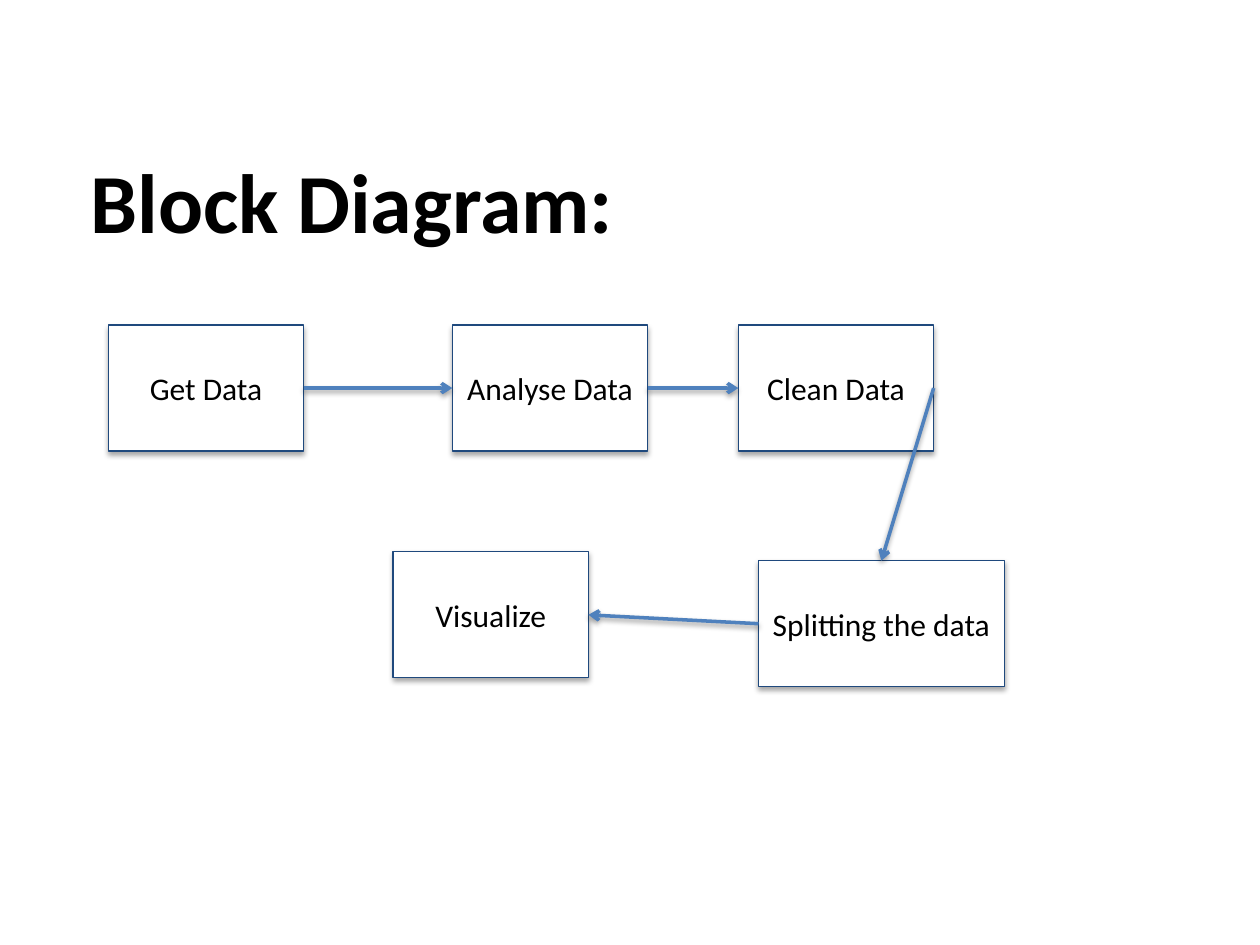
import pptx
import pptx.dml.color
import pptx.enum.shapes
import pptx.enum.text
import pptx.oxml
import pptx.oxml.ns
import pptx.util
from lxml import etree

COLORS = {"text": "000000", "box": "FFFFFF", "outline": "1F497D",
          "arrow": "4F81BD", "shadow": "000000"}
rgb = {name: pptx.dml.color.RGBColor.from_string(value) for name, value in COLORS.items()}

presentation = pptx.Presentation()
presentation.slide_width = pptx.util.Inches(10)
presentation.slide_height = pptx.util.Inches(7.5)
slide = presentation.slides.add_slide(presentation.slide_layouts[6])

# The slide is a grid of 100 columns by 75 rows with square cells.
CELL = presentation.slide_width // 100
BOX_HEIGHT = 10


def add_shadow(shape, opacity, distance):
    """Give a shape or connector a soft shadow straight below it; call after setting its line."""
    effects = pptx.oxml.parse_xml(
        f'<a:effectLst {pptx.oxml.ns.nsdecls("a")}>'
        f'<a:outerShdw blurRad="{pptx.util.Pt(3.1)}" dist="{pptx.util.Pt(distance)}"'
        ' dir="5400000" rotWithShape="0">'
        f'<a:srgbClr val="{COLORS["shadow"]}"><a:alpha val="{opacity * 1000}"/></a:srgbClr>'
        '</a:outerShdw></a:effectLst>')
    shape._element.spPr.append(effects)


def write_text(shape, text, alignment, font_format):
    frame = shape.text_frame
    frame.word_wrap = True
    frame.vertical_anchor = pptx.enum.text.MSO_ANCHOR.MIDDLE
    paragraph = frame.paragraphs[0]
    paragraph.alignment = alignment
    run = paragraph.add_run()
    run.text = text
    run.font.color.rgb = rgb["text"]
    for name, value in font_format.items():
        setattr(run.font, name, value)


title = slide.shapes.add_textbox(*[round(cells * CELL) for cells in (6.2, 7.8, 85, 16.1)])
write_text(title, "Block Diagram:", pptx.enum.text.PP_ALIGN.LEFT,
           {"name": "Calibri", "size": pptx.util.Pt(48), "bold": True})

# Step name, left column, top row, width in columns
steps = [
    ("Get Data", 8.6, 25.8, 15.5),
    ("Analyse Data", 35.9, 25.8, 15.5),
    ("Clean Data", 58.6, 25.8, 15.5),
    ("Splitting the data", 60.2, 44.5, 19.5),
    ("Visualize", 31.2, 43.8, 15.5),
]
boxes = []
for name, column, row, width in steps:
    box = slide.shapes.add_shape(
        pptx.enum.shapes.MSO_SHAPE.RECTANGLE,
        *[round(cells * CELL) for cells in (column, row, width, BOX_HEIGHT)])
    box.fill.solid()
    box.fill.fore_color.rgb = rgb["box"]
    box.line.color.rgb = rgb["outline"]
    box.line.width = pptx.util.Pt(0.75)
    add_shadow(box, 35, 1.8)
    write_text(box, name, pptx.enum.text.PP_ALIGN.CENTER,
               {"name": "Calibri", "size": pptx.util.Pt(18)})
    boxes.append(box)

# Sides left and entered by each arrow between neighbouring steps
TOP, LEFT, RIGHT = 0, 1, 3
sides = [(RIGHT, LEFT), (RIGHT, LEFT), (RIGHT, TOP), (LEFT, RIGHT)]
for start, end, (start_side, end_side) in zip(boxes, boxes[1:], sides):
    arrow = slide.shapes.add_connector(pptx.enum.shapes.MSO_CONNECTOR.STRAIGHT, 0, 0, 0, 0)
    arrow.begin_connect(start, start_side)
    arrow.end_connect(end, end_side)
    arrow.line.color.rgb = rgb["arrow"]
    arrow.line.width = pptx.util.Pt(2)
    etree.SubElement(arrow.line._get_or_add_ln(), pptx.oxml.ns.qn("a:tailEnd"), type="arrow")
    add_shadow(arrow, 38, 1.6)

presentation.save("out.pptx")
